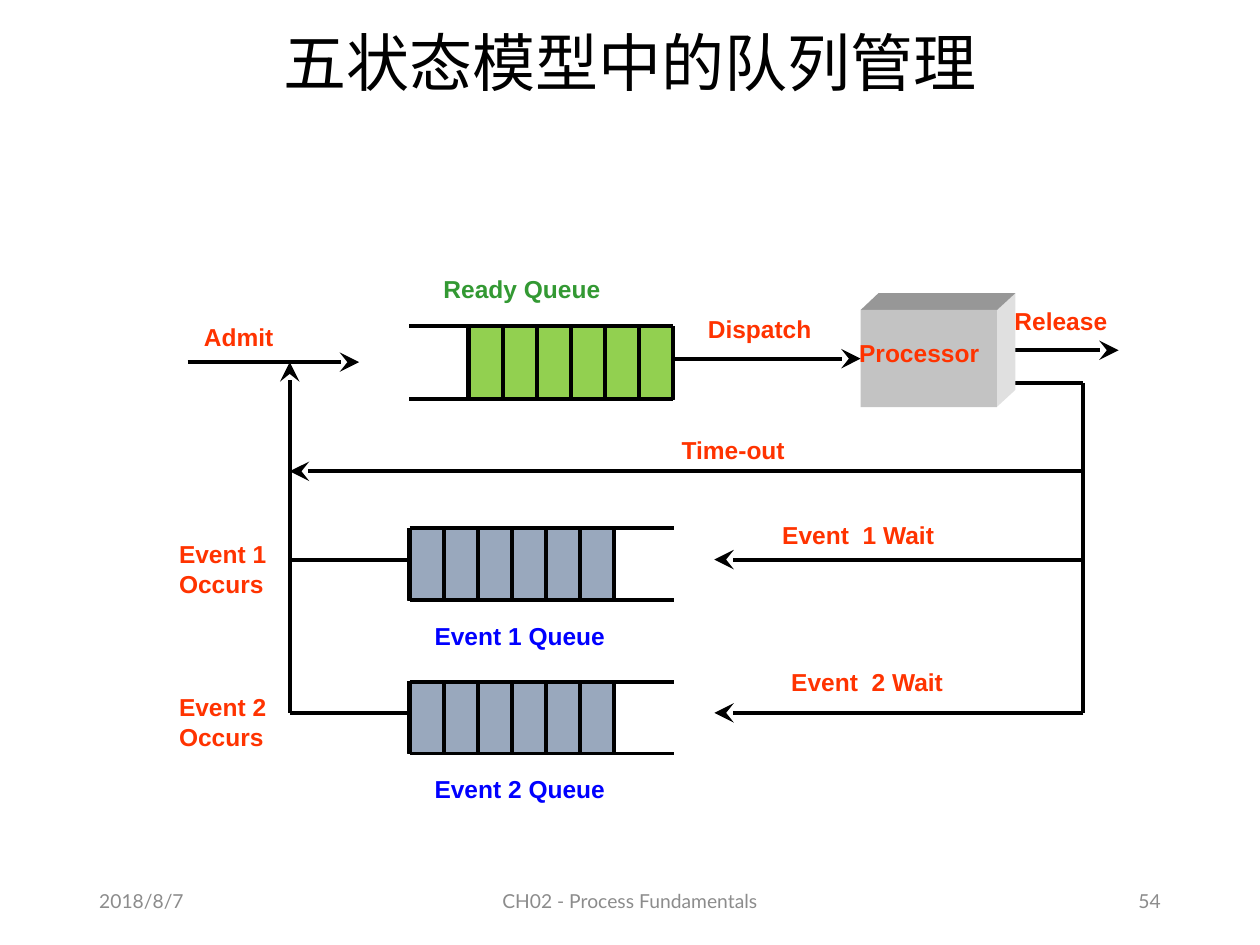
"""Build the slide on queue management in the five-state process model."""
import pptx
import pptx.dml.color
import pptx.enum.shapes
import pptx.enum.text
import pptx.oxml
import pptx.oxml.ns
import pptx.util
from pptx.util import Cm

RGBColor = pptx.dml.color.RGBColor
BLACK = RGBColor(0x00, 0x00, 0x00)
FOOTER_GREY = RGBColor(0x8C, 0x8C, 0x8C)
RED = RGBColor(0xFF, 0x33, 0x00)
GREEN = RGBColor(0x33, 0x99, 0x33)
BLUE = RGBColor(0x00, 0x00, 0xFF)
READY_FILL = RGBColor(0x92, 0xD0, 0x50)
EVENT_FILL = RGBColor(0x99, 0xA8, 0xBD)
CUBE_FRONT = RGBColor(0xC3, 0xC3, 0xC3)
CUBE_SIDE = RGBColor(0xE0, 0xE0, 0xE0)
CUBE_TOP = RGBColor(0x97, 0x97, 0x97)

ALIGN = pptx.enum.text.PP_ALIGN
RETURN_X = 5.84
EXIT_X = 21.84
EVENT_PITCH = 3.09
QUEUE_SPAN = 4.12
QUEUE_SLOTS = 6


def add_xml(parent, tag, **attributes):
    """Append a drawing element to parent."""
    element = pptx.oxml.parse_xml(f"<a:{tag} {pptx.oxml.ns.nsdecls('a')}/>")
    for name, value in attributes.items():
        element.set(name, value)
    parent.append(element)


def add_line(slide, start, end, arrow=False):
    """Draw a black straight line, with an optional arrowhead at its end."""
    line = slide.shapes.add_connector(
        pptx.enum.shapes.MSO_CONNECTOR.STRAIGHT,
        Cm(start[0]), Cm(start[1]), Cm(end[0]), Cm(end[1]))
    line.line.color.rgb = BLACK
    line.line.width = pptx.util.Pt(2.25)
    if arrow:
        add_xml(line.line._get_or_add_ln(), "tailEnd", type="stealth", w="lg", len="lg")
    add_xml(line._element.spPr, "effectLst")
    return line


def paint(shape, fill, outlined=False):
    """Give a shape a plain fill and an optional thin outline."""
    shape.shadow.inherit = False
    shape.fill.solid()
    shape.fill.fore_color.rgb = fill
    if outlined:
        shape.line.color.rgb = BLACK
        shape.line.width = pptx.util.Pt(0.75)
    else:
        shape.line.fill.background()


def add_rectangle(slide, left, top, width, height, fill, outlined=False):
    """Add a filled rectangle."""
    rectangle = slide.shapes.add_shape(
        pptx.enum.shapes.MSO_SHAPE.RECTANGLE, Cm(left), Cm(top), Cm(width), Cm(height))
    paint(rectangle, fill, outlined)
    return rectangle


def add_face(slide, corners, fill):
    """Add one slanted face of the processor cube."""
    points = [(Cm(x), Cm(y)) for x, y in corners]
    builder = slide.shapes.build_freeform(*points[0])
    builder.add_line_segments(points[1:], close=True)
    paint(builder.convert_to_shape(), fill)


def add_text(slide, text, left, top, width, height, size, font, color, align=ALIGN.LEFT):
    """Add a wrapped, vertically centred text box."""
    box = slide.shapes.add_textbox(Cm(left), Cm(top), Cm(width), Cm(height))
    frame = box.text_frame
    frame.text = text
    frame.word_wrap = True
    frame.vertical_anchor = pptx.enum.text.MSO_ANCHOR.MIDDLE
    paragraph = frame.paragraphs[0]
    paragraph.alignment = align
    run_font = paragraph.runs[0].font
    run_font.size = pptx.util.Pt(size)
    run_font.name = font
    run_font.color.rgb = color
    return box


def add_label(slide, text, left, top, width, color=RED):
    """Add a bold diagram label without margins."""
    label = add_text(slide, text, left, top, width, 0.58, 14, "Arial", color)
    frame = label.text_frame
    frame.margin_left = frame.margin_right = frame.margin_top = frame.margin_bottom = 0
    frame.vertical_anchor = pptx.enum.text.MSO_ANCHOR.TOP
    frame.word_wrap = False
    frame.auto_size = pptx.enum.text.MSO_AUTO_SIZE.SHAPE_TO_FIT_TEXT
    frame.paragraphs[0].runs[0].font.bold = True


def add_queue(slide, rail_left, slots_left, top, height, fill):
    """Draw a queue: filled slots between two rails."""
    add_rectangle(slide, slots_left - 0.04, top, 4.19, height, fill, outlined=True)
    for y in (top, top + height):
        add_line(slide, (rail_left, y), (rail_left + 5.32, y))
    for slot in range(QUEUE_SLOTS + 1):
        x = slots_left + slot * QUEUE_SPAN / QUEUE_SLOTS
        add_line(slide, (x, top), (x, top + height))


def add_processor(slide):
    """Draw the processor cube and return its front face."""
    add_face(slide, [(20.1, 8.2), (20.1, 6.25), (20.47, 5.91), (20.47, 7.86)], CUBE_SIDE)
    add_face(slide, [(20.1, 6.25), (17.35, 6.25), (17.71, 5.91), (20.47, 5.91)], CUBE_TOP)
    return add_rectangle(slide, 17.35, 6.25, 2.75, 1.96, CUBE_FRONT)


def add_event(slide, number, wait_left, wait_top):
    """Draw the queue of one event with its wait and occurrence paths."""
    shift = (number - 1) * EVENT_PITCH
    path_y = 11.28 + shift
    add_queue(slide, 8.26, 8.26, 10.65 + shift, 1.45, EVENT_FILL)
    add_line(slide, (8.26, path_y), (RETURN_X, path_y))
    add_line(slide, (EXIT_X, path_y), (14.4, path_y), arrow=True)
    add_label(slide, f"Event  {number} Wait", wait_left, wait_top, 3.1)
    add_label(slide, f"Event {number} Queue", 8.76, 12.52 + shift, 3.5, BLUE)
    add_label(slide, f"Event {number}", 3.61, 10.87 + shift, 1.8)
    add_label(slide, "Occurs", 3.61, 11.47 + shift, 1.75)


def add_title_and_footer(slide):
    """Add the title and the footer line."""
    title_font = "Noto Sans CJK SC"
    title = add_text(slide, "五状态模型中的队列管理", 1.75, 0.36, 21.9, 1.93,
                     36, title_font, BLACK, ALIGN.CENTER)
    paragraph = title.text_frame.paragraphs[0]
    paragraph.line_spacing = 0.9
    add_xml(paragraph.runs[0].font._element, "ea", typeface=title_font)
    for text, left, width, align in (
            ("2018/8/7", 1.75, 5.72, ALIGN.LEFT),
            ("CH02 - Process Fundamentals", 8.41, 8.58, ALIGN.CENTER),
            ("54", 17.93, 5.72, ALIGN.RIGHT)):
        add_text(slide, text, left, 17.65, width, 1.02, 11, "Lato", FOOTER_GREY, align)


def main():
    """Build and save the slide."""
    deck = pptx.Presentation()
    deck.slide_width, deck.slide_height = Cm(25.4), Cm(19.05)
    slide = deck.slides.add_slide(deck.slide_layouts[6])
    add_title_and_footer(slide)

    add_queue(slide, 8.25, 9.45, 6.58, 1.47, READY_FILL)
    add_line(slide, (3.78, 7.3), (7.24, 7.3), arrow=True)
    add_line(slide, (RETURN_X, 14.37), (RETURN_X, 7.3), arrow=True)
    add_line(slide, (20.3, 7.06), (22.55, 7.06), arrow=True)
    add_line(slide, (20.12, 7.72), (EXIT_X, 7.72))
    add_line(slide, (EXIT_X, 7.72), (EXIT_X, 14.37))
    add_line(slide, (EXIT_X, 9.5), (RETURN_X, 9.5), arrow=True)

    processor = add_processor(slide)
    dispatch = add_line(slide, (13.58, 7.23), (17.35, 7.23), arrow=True)
    dispatch.end_connect(processor, 1)

    add_label(slide, "Admit", 4.11, 6.5, 1.5)
    add_label(slide, "Ready Queue", 8.94, 5.52, 3.2, GREEN)
    add_label(slide, "Dispatch", 14.27, 6.33, 2.15)
    add_label(slide, "Time-out", 13.74, 8.76, 2.2)
    add_label(slide, "Release", 20.45, 6.17, 1.9)
    add_label(slide, "Processor", 17.32, 6.82, 2.45)

    add_event(slide, 1, 15.77, 10.49)
    add_event(slide, 2, 15.95, 13.45)
    deck.save("out.pptx")


if __name__ == "__main__":
    main()
